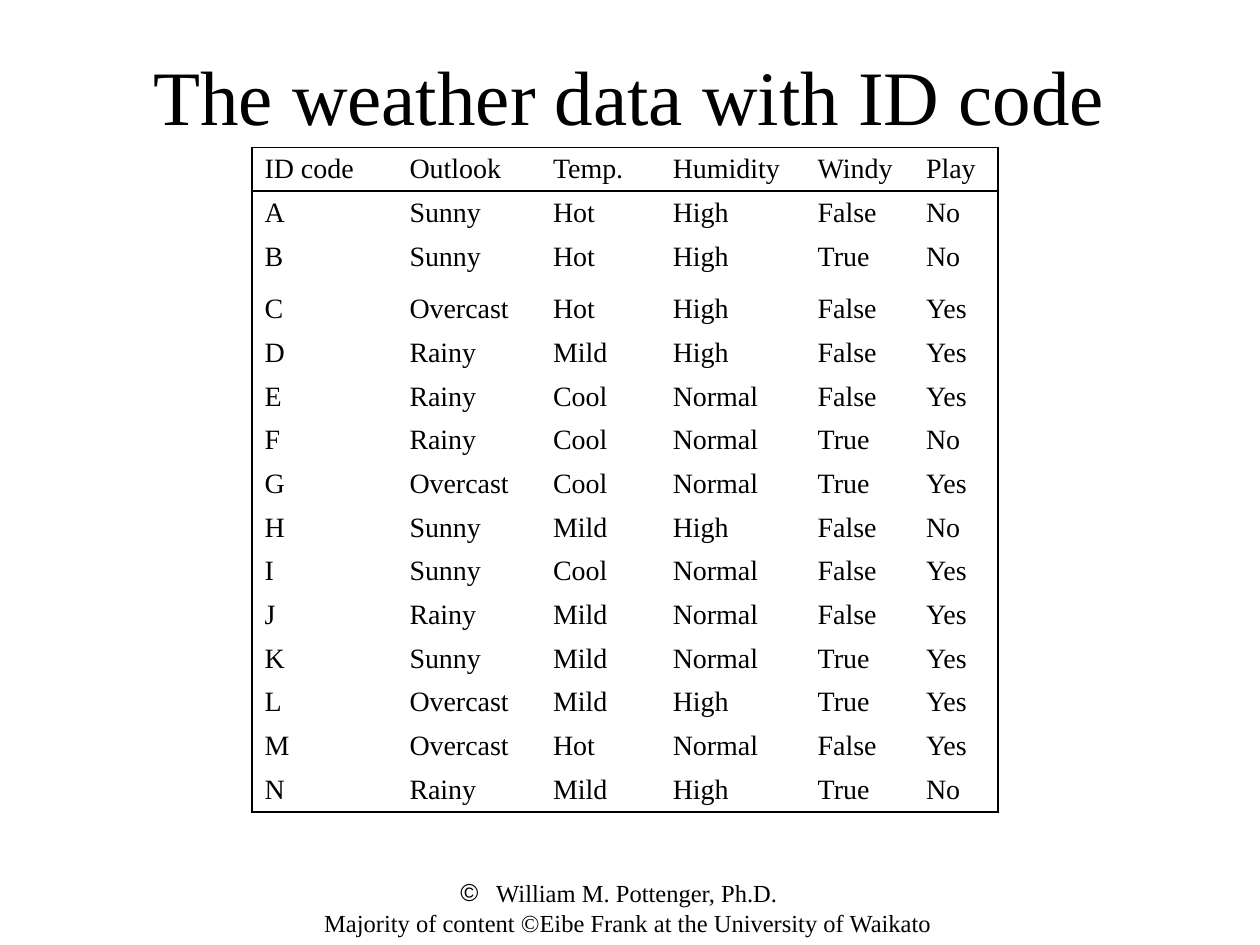
from lxml.etree import SubElement as Sub
from pptx import Presentation as Deck
from pptx.dml.color import RGBColor as Rgb
from pptx.enum.text import MSO_ANCHOR as Anchor, PP_ALIGN as Align
from pptx.oxml.ns import qn
from pptx.util import Inches as In, Pt

INK = "000000"
FACE = "Times New Roman"


def style(para, size, tint=INK):
    for run in para.runs:
        run.font.size = Pt(size)
        run.font.name = FACE
        run.font.color.rgb = Rgb.from_string(tint)


def edge(cell, side, shown):
    line = Sub(cell._tc.get_or_add_tcPr(), qn("a:ln" + side), w=str(Pt(1)))
    if shown:
        fill = Sub(line, qn("a:solidFill"))
        Sub(fill, qn("a:srgbClr"), val=INK)
    else:
        Sub(line, qn("a:noFill"))


deck = Deck()
deck.slide_width, deck.slide_height = In(10), In(7.5)
slide = deck.slides.add_slide(deck.slide_layouts[5])

title = slide.shapes.title
title.left, title.top, title.width, title.height = In(0.33), In(0.17), In(9.33), In(1.17)
title.text_frame.text = "The weather data with ID code"
title.text_frame.vertical_anchor = Anchor.MIDDLE
title.text_frame.paragraphs[0].alignment = Align.CENTER
style(title.text_frame.paragraphs[0], 44)

data = [line.split() for line in """A Sunny Hot High False No
B Sunny Hot High True No
C Overcast Hot High False Yes
D Rainy Mild High False Yes
E Rainy Cool Normal False Yes
F Rainy Cool Normal True No
G Overcast Cool Normal True Yes
H Sunny Mild High False No
I Sunny Cool Normal False Yes
J Rainy Mild Normal False Yes
K Sunny Mild Normal True Yes
L Overcast Mild High True Yes
M Overcast Hot Normal False Yes
N Rainy Mild High True No""".splitlines()]
data.insert(0, ["ID code", "Outlook", "Temp.", "Humidity", "Windy", "Play"])
widths = [1.15, 1.14, 0.95, 1.15, 0.86, 0.67]
last_row, last_col = len(data) - 1, len(widths) - 1

frame = slide.shapes.add_table(len(data), len(widths), In(2), In(1.17),
                               In(sum(widths)), Pt(25 * len(data) + 5))
table = frame.table
table.first_row = table.horz_banding = False
for col, width in zip(table.columns, widths):
    col.width = In(width)
for r, values in enumerate(data):
    table.rows[r].height = Pt(30 if values[0] == "B" else 25)
    for c, value in enumerate(values):
        cell = table.cell(r, c)
        cell.text_frame.text = value
        style(cell.text_frame.paragraphs[0], 16)
        cell.margin_top, cell.margin_bottom = In(0.05), In(0.04)
        edge(cell, "L", c == 0)
        edge(cell, "R", c == last_col)
        edge(cell, "T", r in (0, 1))
        edge(cell, "B", r in (0, last_row))
        cell.fill.background()

foot = slide.shapes.add_textbox(In(2.25), In(6.92), In(5.42), In(0.33)).text_frame
foot.word_wrap = True
foot.text = (" William M. Pottenger, Ph.D.\n"
             " Majority of content ©Eibe Frank at the University of Waikato")
for para in foot.paragraphs:
    para.alignment = Align.CENTER
    style(para, 14)
props = foot.paragraphs[0]._p.get_or_add_pPr()
props.set("marL", str(In(0.13)))
props.set("indent", str(-In(0.24)))
Sub(props, qn("a:buFont"), typeface="Arial")
Sub(props, qn("a:buChar"), char="©")

deck.save("out.pptx")
